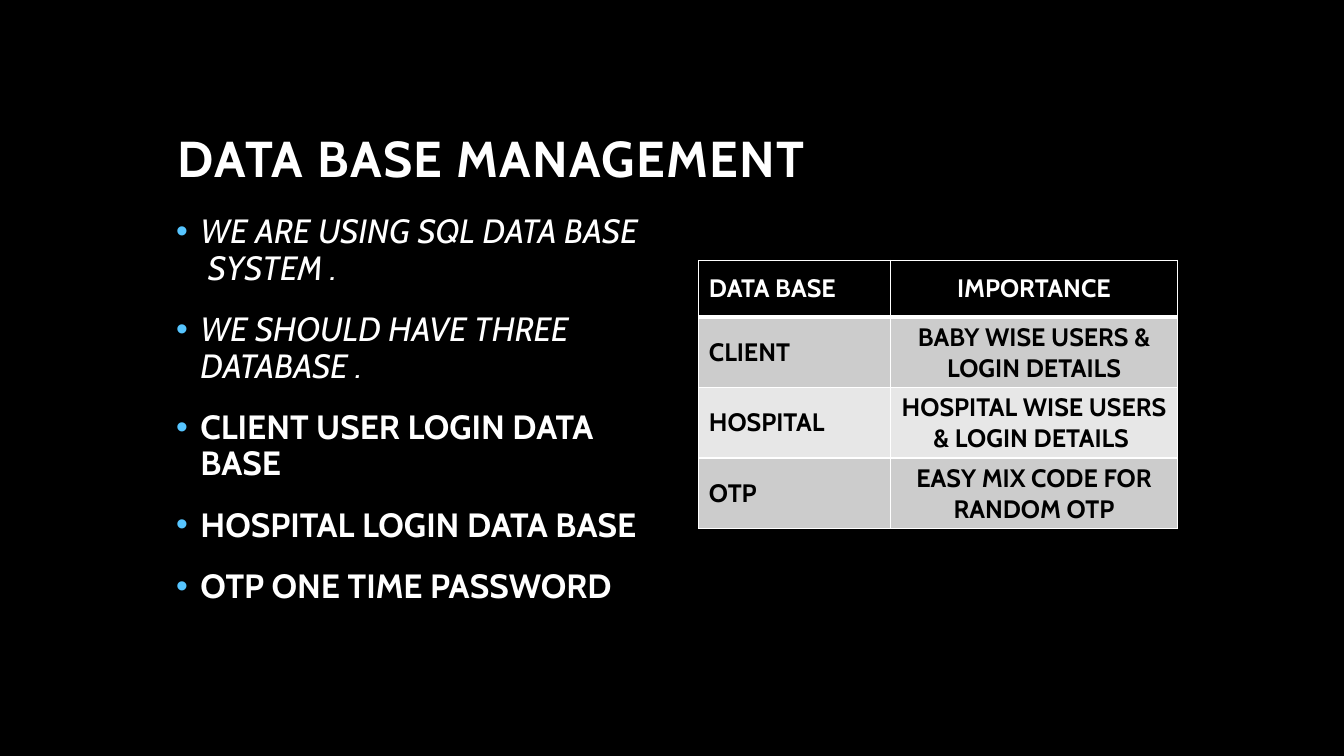
from lxml import etree
from pptx import Presentation
from pptx.dml.color import RGBColor
from pptx.enum.text import MSO_ANCHOR, PP_ALIGN
from pptx.oxml.ns import qn
from pptx.util import Inches, Pt

BLACK = RGBColor(0x00, 0x00, 0x00)
WHITE = RGBColor(0xFF, 0xFF, 0xFF)
SKY = RGBColor(0x56, 0xC5, 0xFF)
DARK_BAND = RGBColor(0xCC, 0xCC, 0xCC)
LIGHT_BAND = RGBColor(0xE7, 0xE7, 0xE7)
LEFT, CENTER = PP_ALIGN.LEFT, PP_ALIGN.CENTER
TOP, MIDDLE, BOTTOM = MSO_ANCHOR.TOP, MSO_ANCHOR.MIDDLE, MSO_ANCHOR.BOTTOM

TITLE = "DATA BASE MANAGEMENT"
STATEMENTS = [
    "WE ARE USING SQL DATA BASE  SYSTEM .",
    "WE SHOULD HAVE THREE DATABASE .",
]
DATABASES = [
    "CLIENT USER LOGIN DATA BASE",
    "HOSPITAL LOGIN DATA BASE",
    "OTP ONE TIME PASSWORD",
]
IMPORTANCE = [
    ("DATA BASE", "IMPORTANCE"),
    ("CLIENT", "BABY WISE USERS & LOGIN DETAILS"),
    ("HOSPITAL", "HOSPITAL WISE USERS & LOGIN DETAILS "),
    ("OTP", "EASY MIX CODE FOR RANDOM OTP"),
]


class SlideBuilder:
    font_name = "Cabin"
    columns, rows = 80, 45

    def __init__(self, deck):
        self.column = deck.slide_width / self.columns
        self.row = deck.slide_height / self.rows
        self.page = deck.slides.add_slide(deck.slide_layouts[6])
        self.page.background.fill.solid()
        self.page.background.fill.fore_color.rgb = BLACK

    def place(self, left, top, width, height):
        return (round(left * self.column), round(top * self.row),
                round(width * self.column), round(height * self.row))

    def style(self, para, size, color, bold=True, italic=False):
        font = para.font
        font.name, font.size = self.font_name, Pt(size)
        font.bold, font.italic = bold, italic
        font.color.rgb = color

    def text_frame(self, area, anchor):
        frame = self.page.shapes.add_textbox(*self.place(*area)).text_frame
        frame.word_wrap = True
        frame.vertical_anchor = anchor
        return frame

    def title(self, area, text):
        para = self.text_frame(area, BOTTOM).paragraphs[0]
        para.text = text
        para.line_spacing = 0.9
        self.style(para, 36, WHITE)
        para._p.pPr.find(qn("a:defRPr")).set("spc", "100")

    def bullet(self, para):
        properties = para._p.get_or_add_pPr()
        properties.set("marL", str(Inches(0.24)))
        properties.set("indent", str(-Inches(0.24)))
        color = etree.SubElement(properties, qn("a:buClr"))
        etree.SubElement(color, qn("a:srgbClr"), val=str(SKY))
        etree.SubElement(properties, qn("a:buFont"), typeface="Arial")
        etree.SubElement(properties, qn("a:buChar"), char="•")

    def bullets(self, area, statements, names):
        frame = self.text_frame(area, TOP)
        for index, text in enumerate(statements + names):
            para = frame.add_paragraph() if index else frame.paragraphs[0]
            para.text = text
            para.line_spacing = 0.9
            para.space_before = Pt(18)
            self.bullet(para)
            is_name = index >= len(statements)
            self.style(para, 24, WHITE, bold=is_name, italic=not is_name)

    def borders(self, cell, top, bottom):
        properties = cell._tc.get_or_add_tcPr()
        for side, width in (("L", 1), ("R", 1), ("T", top), ("B", bottom)):
            line = etree.SubElement(properties, qn(f"a:ln{side}"), w=str(Pt(width)))
            fill = etree.SubElement(line, qn("a:solidFill"))
            etree.SubElement(fill, qn("a:srgbClr"), val=str(WHITE))

    def cell(self, cell, text, align, row):
        self.borders(cell, 3 if row == 1 else 1, 3 if row == 0 else 1)
        cell.fill.solid()
        band = DARK_BAND if row % 2 else LIGHT_BAND
        cell.fill.fore_color.rgb = band if row else BLACK
        cell.vertical_anchor = MIDDLE
        para = cell.text_frame.paragraphs[0]
        para.text = text
        para.alignment = align
        self.style(para, 18, BLACK if row else WHITE)

    def table(self, left, top, widths, heights, records):
        area = self.place(left, top, sum(widths), sum(heights))
        table = self.page.shapes.add_table(len(heights), len(widths), *area).table
        table.horz_banding = False
        for column, width in zip(table.columns, widths):
            column.width = round(width * self.column)
        for row, height in zip(table.rows, heights):
            row.height = round(height * self.row)
        for row, record in enumerate(records):
            for column, (text, align) in enumerate(zip(record, (LEFT, CENTER))):
                self.cell(table.cell(row, column), text, align, row)


def main():
    deck = Presentation()
    deck.slide_width, deck.slide_height = Inches(13.33), Inches(7.5)
    builder = SlideBuilder(deck)
    builder.title((10, 2.5, 60, 9), TITLE)
    builder.bullets((9.9, 12.5, 29, 27), STATEMENTS, DATABASES)
    builder.table(41.6, 15.5, (11.4, 17.1), (3.36, 4.2, 4.2, 4.2), IMPORTANCE)
    deck.save("out.pptx")


if __name__ == "__main__":
    main()
